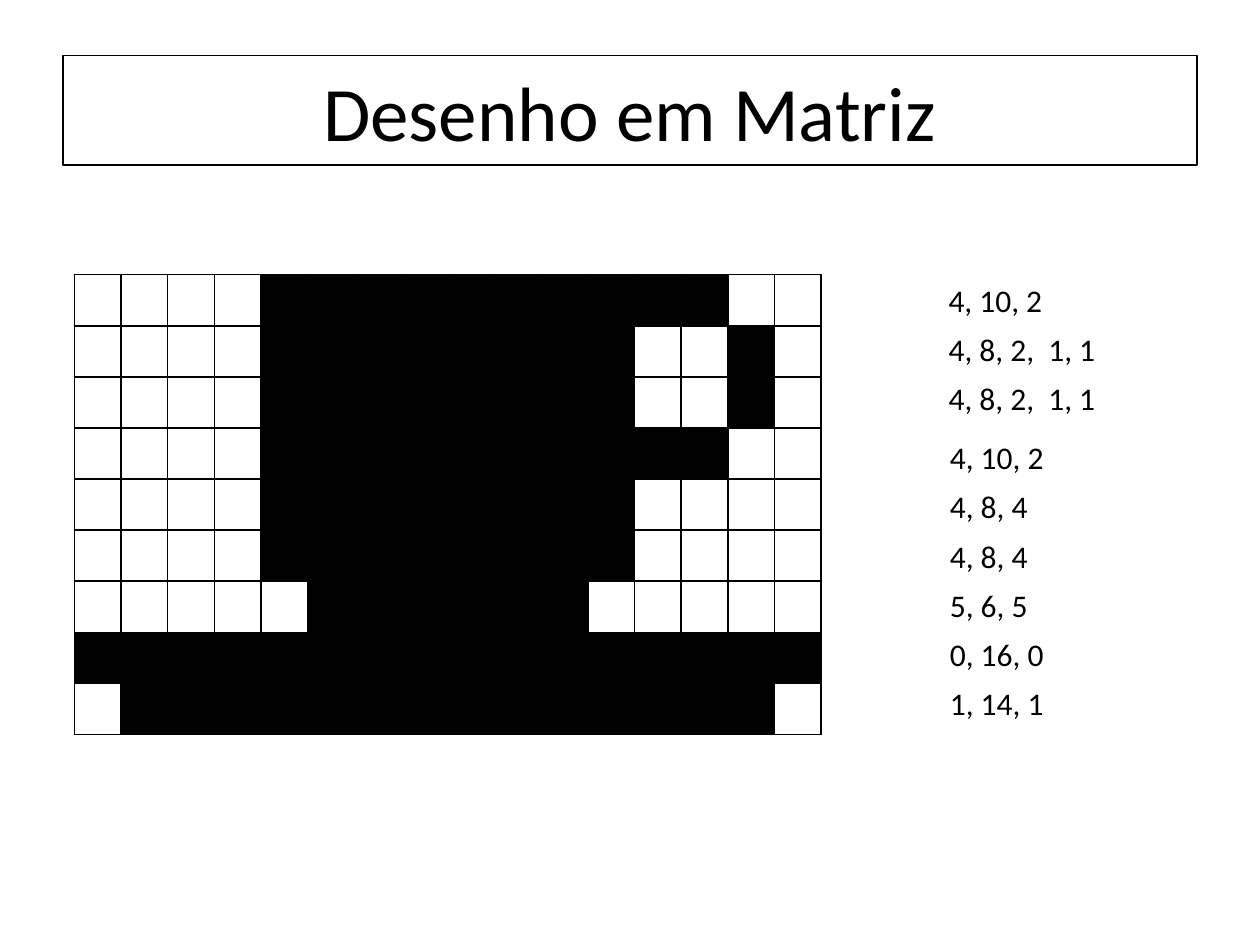
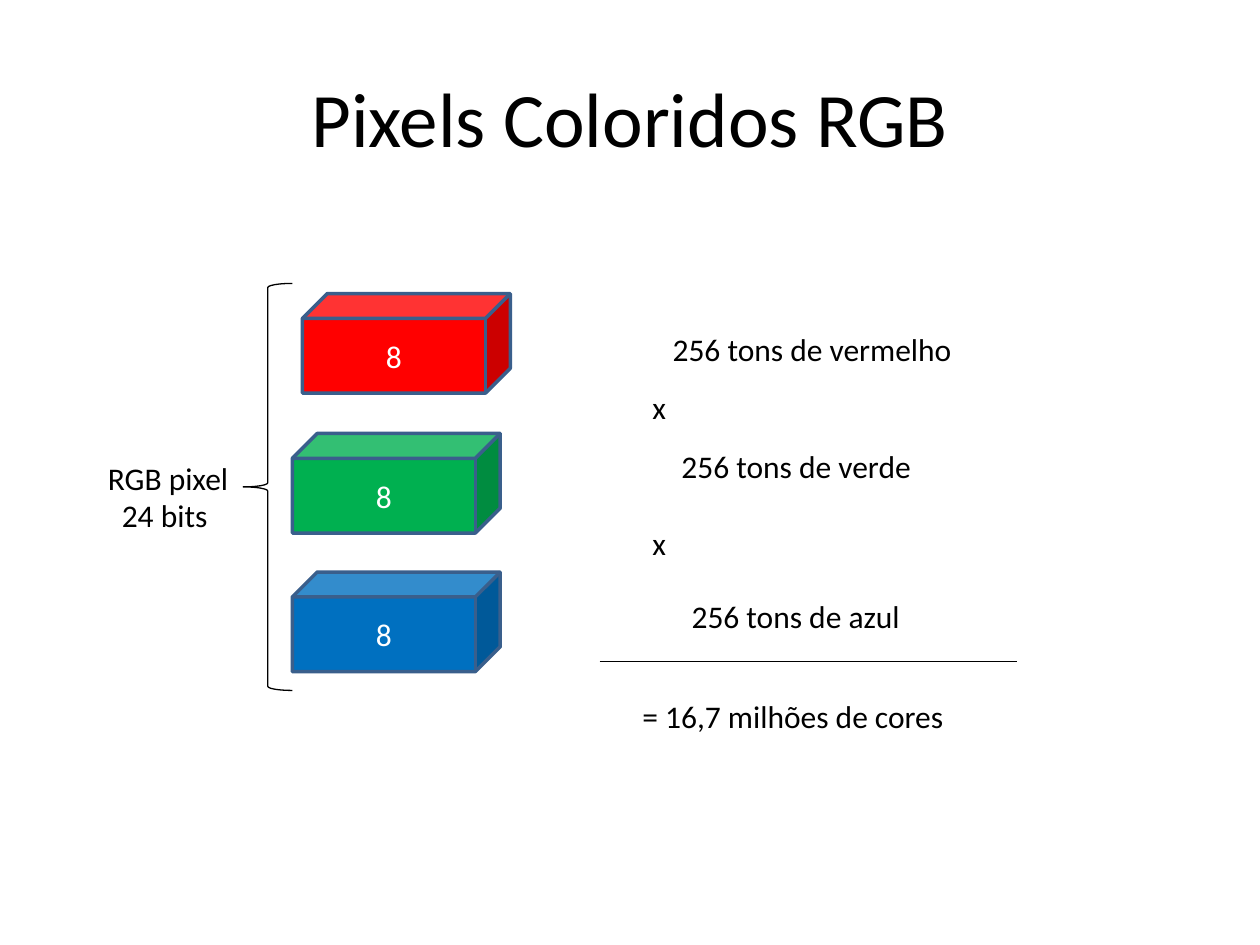
"""Build two slides on bitmap pictures: a run-length coded drawing and RGB pixels."""
from dataclasses import dataclass
from typing import Any

from lxml import etree
from pptx import Presentation
from pptx.dml.color import RGBColor
from pptx.enum.shapes import MSO_CONNECTOR, MSO_SHAPE
from pptx.enum.text import MSO_ANCHOR, MSO_AUTO_SIZE, PP_ALIGN
from pptx.oxml.ns import qn
from pptx.util import Inches, Pt

CUBE = MSO_SHAPE.CUBE
LEFT_BRACE = MSO_SHAPE.LEFT_BRACE
STRAIGHT = MSO_CONNECTOR.STRAIGHT
LEFT, CENTER = PP_ALIGN.LEFT, PP_ALIGN.CENTER
TOP, MIDDLE = MSO_ANCHOR.TOP, MSO_ANCHOR.MIDDLE
FIXED, GROW = MSO_AUTO_SIZE.NONE, MSO_AUTO_SIZE.SHAPE_TO_FIT_TEXT
TITLE_ONLY = 5


@dataclass(frozen=True)
class Theme:
    """Colours, font and sizes shared by the slides."""
    font: str = "Calibri"
    black: str = "000000"
    white: str = "FFFFFF"
    red: str = "FF0000"
    green: str = "00B050"
    blue: str = "0070C0"
    cube_edge: str = "3A5F8C"
    title_size: float = 44
    text_size: float = 18
    thin: float = 0.75
    grid: float = 1
    thick: float = 2


@dataclass(frozen=True)
class Area:
    """Place and size in inches."""
    left: float
    top: float
    width: float
    height: float

    def lengths(self) -> tuple:
        """Return the four lengths in order."""
        return tuple(Inches(n) for n in (self.left, self.top, self.width, self.height))


@dataclass(frozen=True)
class Label:
    """A free text and its place."""
    text: str
    left: float
    top: float
    width: float
    height: float = 0.4
    align: Any = LEFT


@dataclass(frozen=True)
class Channel:
    """One colour channel of a pixel."""
    color: str
    left: float
    top: float


THEME = Theme()
CODES = [
    "4, 10, 2", "4, 8, 2,  1, 1", "4, 8, 2,  1, 1", "4, 10, 2", "4, 8, 4",
    "4, 8, 4", "5, 6, 5", "0, 16, 0", "1, 14, 1",
]
CODE_WIDTHS = {7: 0.83, 8: 0.96, 14: 1.38}
CODE_PITCH = 0.39
UPPER_CODES = 3
DRAWING = Area(0.59, 2.18, 5.93, 3.65)
CHANNELS = [
    Channel(THEME.red, 2.4, 2.33),
    Channel(THEME.green, 2.32, 3.44),
    Channel(THEME.blue, 2.32, 4.54),
]
RGB_LABELS = [
    Label("RGB pixel\n24 bits ", 0.75, 3.59, 1.17, 0.71, CENTER),
    Label("256 tons de vermelho", 5.24, 2.57, 2.44),
    Label("x", 5.08, 3.03, 0.31),
    Label("256 tons de verde", 5.31, 3.5, 2.05),
    Label("x", 5.08, 4.11, 0.31),
    Label("256 tons de azul", 5.39, 4.69, 1.88),
    Label("= 16,7 milhões de cores", 5, 5.48, 2.62),
]


def apply(target: Any, values: dict) -> None:
    """Set each named attribute on the target."""
    for name, value in values.items():
        setattr(target, name, value)


def set_line(line: Any, color: str, width: float) -> None:
    """Give a line its colour and width."""
    line.color.rgb = RGBColor.from_string(color)
    line.width = Pt(width)


def write(shape: Any, text: str, color: str, size: float, align: Any, frame_format: dict) -> None:
    """Fill a shape with formatted paragraphs."""
    frame = shape.text_frame
    apply(frame, frame_format)
    frame.text = text
    for para in frame.paragraphs:
        para.alignment = align
        for span in para.runs:
            apply(span.font, {"name": THEME.font, "size": Pt(size)})
            span.font.color.rgb = RGBColor.from_string(color)


def add_page(deck: Any, title: str, area: Area) -> Any:
    """Add a slide with its title placed in the given area."""
    page = deck.slides.add_slide(deck.slide_layouts[TITLE_ONLY])
    box = page.shapes.title
    apply(box, dict(zip(("left", "top", "width", "height"), area.lengths())))
    write(box, title, THEME.black, THEME.title_size, CENTER,
          {"vertical_anchor": MIDDLE, "word_wrap": True, "auto_size": FIXED})
    return page


def add_label(page: Any, label: Label) -> None:
    """Add a text box that does not wrap."""
    area = Area(label.left, label.top, label.width, label.height)
    box = page.shapes.add_textbox(*area.lengths())
    write(box, label.text, THEME.black, THEME.text_size, label.align,
          {"vertical_anchor": TOP, "word_wrap": False, "auto_size": GROW})


def add_outlined(page: Any, kind: Any, area: Area, color: str, width: float) -> Any:
    """Add a preset shape without shadow and with a coloured outline."""
    shape = page.shapes.add_shape(kind, *area.lengths())
    shape.shadow.inherit = False
    shape.fill.background()
    set_line(shape.line, color, width)
    return shape


def add_rule(page: Any, left: float, right: float, top: float) -> None:
    """Add a thin horizontal line."""
    rule = page.shapes.add_connector(
        STRAIGHT, Inches(left), Inches(top), Inches(right), Inches(top))
    set_line(rule.line, THEME.black, THEME.thin)
    etree.SubElement(rule.element.spPr, qn("a:effectLst"))


def set_borders(cell: Any) -> None:
    """Draw the four borders of a table cell."""
    properties = cell._tc.get_or_add_tcPr()
    for index, side in enumerate(("a:lnL", "a:lnR", "a:lnT", "a:lnB")):
        line = etree.Element(qn(side), w=str(Pt(THEME.grid)))
        fill = etree.SubElement(line, qn("a:solidFill"))
        etree.SubElement(fill, qn("a:srgbClr"), val=THEME.black)
        properties.insert(index, line)


def decode(code: str) -> list[str]:
    """Expand alternating white and black run lengths into pixel colours."""
    colors = (THEME.white, THEME.black)
    return [colors[index % 2]
            for index, count in enumerate(code.split(","))
            for _ in range(int(count))]


def add_drawing(page: Any) -> None:
    """Draw the decoded bitmap as a table."""
    bitmap = [decode(code) for code in CODES]
    table = page.shapes.add_table(len(bitmap), len(bitmap[0]), *DRAWING.lengths()).table
    apply(table, {"first_row": False, "horz_banding": False})
    for column in table.columns:
        column.width = Inches(DRAWING.width / len(bitmap[0]))
    for row, pixels in zip(table.rows, bitmap):
        row.height = Inches(DRAWING.height / len(bitmap))
        for cell, color in zip(row.cells, pixels):
            apply(cell, {"margin_top": 0, "margin_bottom": 0})
            cell.fill.solid()
            cell.fill.fore_color.rgb = RGBColor.from_string(color)
            set_borders(cell)


def build_drawing_page(deck: Any) -> None:
    """Build the slide with the bitmap and its run lengths."""
    page = add_page(deck, "Desenho em Matriz", Area(0.5, 0.44, 9, 0.87))
    set_line(page.shapes.title.line, THEME.black, THEME.thin)
    add_drawing(page)
    for start, left, top, codes in (
        (0, 7.43, 2.18, CODES[:UPPER_CODES]),
        (UPPER_CODES, 7.44, 3.43, CODES[UPPER_CODES:]),
    ):
        for index, code in enumerate(codes):
            add_label(page, Label(code, left, top + index * CODE_PITCH, CODE_WIDTHS[len(code)]))


def build_rgb_page(deck: Any) -> None:
    """Build the slide with the three colour channels."""
    page = add_page(deck, "Pixels Coloridos RGB", Area(0.5, 0.3, 9, 1.25))
    for channel in CHANNELS:
        area = Area(channel.left, channel.top, 1.65, 0.79)
        cube = add_outlined(page, CUBE, area, THEME.cube_edge, THEME.thick)
        cube.fill.solid()
        cube.fill.fore_color.rgb = RGBColor.from_string(channel.color)
        write(cube, "8", THEME.white, THEME.text_size, CENTER, {"vertical_anchor": MIDDLE})
    add_outlined(page, LEFT_BRACE, Area(1.93, 2.25, 0.39, 3.23), THEME.black, THEME.thin)
    for label in RGB_LABELS:
        add_label(page, label)
    add_rule(page, 4.76, 8.07, 5.25)


def main() -> None:
    """Build and save the deck."""
    deck = Presentation()
    apply(deck, {"slide_width": Inches(10), "slide_height": Inches(7.5)})
    build_drawing_page(deck)
    build_rgb_page(deck)
    deck.save("out.pptx")


if __name__ == "__main__":
    main()
